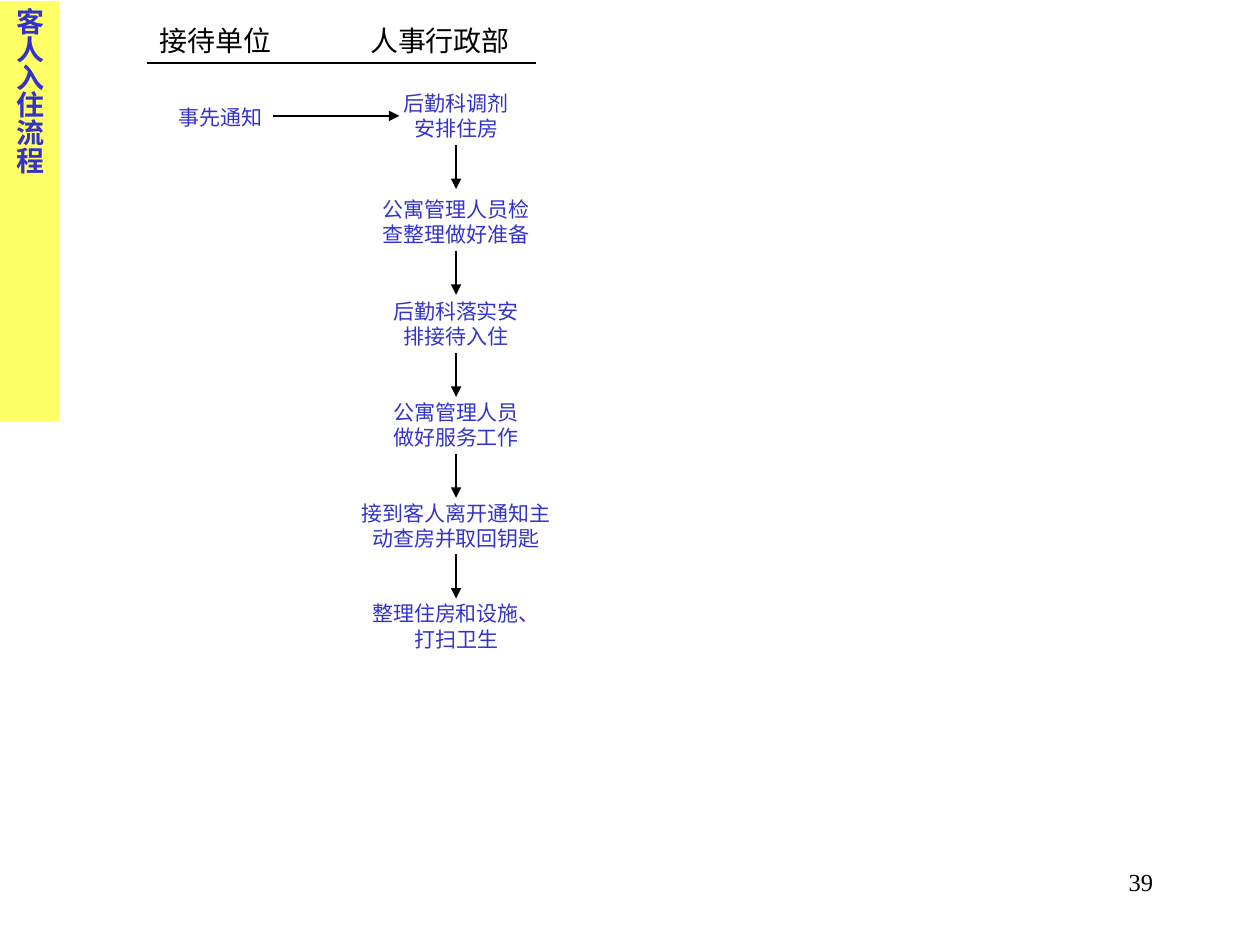
from dataclasses import dataclass

from lxml import etree
from pptx import Presentation
from pptx import util as u
from pptx.dml.color import RGBColor
from pptx.enum import shapes, text
from pptx.oxml import ns


@dataclass(frozen=True)
class Theme:
    font: str = "Times New Roman"
    ink: str = "000000"
    accent: str = "3333CC"
    band: str = "FFFF66"
    heading: int = 16
    step: int = 12
    number: int = 14
    line: float = 0.75


THEME = Theme()
ALIGN = text.PP_ALIGN
STEP_HEIGHT = 0.5
ARROW_LENGTH = 0.35
# wording, top and width of each step
STEPS = [
    ("后勤科调剂安排住房", 0.67, 1.17),
    ("公寓管理人员检查整理做好准备", 1.51, 1.5),
    ("后勤科落实安排接待入住", 2.32, 1.33),
    ("公寓管理人员做好服务工作", 3.12, 1.33),
    ("接到客人离开通知主动查房并取回钥匙", 3.92, 1.75),
    ("整理住房和设施、打扫卫生", 4.72, 1.54),
]


def write(frame, wording, size=THEME.step, color=THEME.accent, bold=False,
          align=ALIGN.CENTER, spacing=None, tab=None):
    frame.word_wrap = True
    frame.vertical_anchor = text.MSO_ANCHOR.TOP
    para = frame.paragraphs[0]
    para.alignment = align
    if spacing:
        para.line_spacing = spacing
    if tab:
        stops = etree.SubElement(para._p.get_or_add_pPr(), ns.qn("a:tabLst"))
        etree.SubElement(stops, ns.qn("a:tab"), pos=str(u.Inches(tab)), algn="l")
    span = para.add_run()
    span.text = wording
    span.font.name = THEME.font
    span.font.size = u.Pt(size)
    span.font.bold = bold
    span.font.color.rgb = RGBColor.from_string(color)


def add_text(page, left, top, width, height, wording, **style):
    box = page.shapes.add_textbox(*map(u.Inches, (left, top, width, height)))
    write(box.text_frame, wording, **style)


def add_line(page, start, end, arrow=False):
    line = page.shapes.add_connector(
        shapes.MSO_CONNECTOR.STRAIGHT, *map(u.Inches, (*start, *end)))
    line.line.color.rgb = RGBColor.from_string(THEME.ink)
    line.line.width = u.Pt(THEME.line)
    if arrow:
        etree.SubElement(line.line._get_or_add_ln(), ns.qn("a:tailEnd"), type="triangle")
    etree.SubElement(line._element.spPr, ns.qn("a:effectLst"))


def title_band(page, left, top, width, height):
    title = page.shapes.title
    title.left, title.top, title.width, title.height = map(
        u.Inches, (left, top, width, height))
    title.fill.solid()
    title.fill.fore_color.rgb = RGBColor.from_string(THEME.band)
    frame = title.text_frame
    frame.auto_size = text.MSO_AUTO_SIZE.NONE
    frame._txBody.bodyPr.set("vert", "eaVert")
    write(frame, "客人入住流程", size=THEME.heading, bold=True, align=ALIGN.JUSTIFY)


def column_headings(page, left, top, width):
    add_text(page, left, top, width, 0.31, "接待单位\t人事行政部",
             size=THEME.heading, color=THEME.ink, align=ALIGN.LEFT,
             spacing=0.8, tab=1.67)
    rule = top + 0.31
    add_line(page, (left, rule), (left + 3.08, rule))


def request(page, left, top, width, height):
    """Draw the first notice and its arrow to the first step."""
    add_text(page, left, top, width, height, "事先通知")
    middle = top + 0.14
    add_line(page, (left + 1.17, middle), (left + 2.17, middle), arrow=True)


def step_column(page, center):
    for index, (wording, top, width) in enumerate(STEPS):
        add_text(page, center - width / 2, top, width, STEP_HEIGHT, wording)
        if index < len(STEPS) - 1:
            start = top + STEP_HEIGHT - 0.02
            add_line(page, (center, start), (center, start + ARROW_LENGTH), arrow=True)


def main():
    deck = Presentation()
    deck.slide_width, deck.slide_height = u.Inches(10), u.Inches(7.5)
    page = deck.slides.add_slide(deck.slide_layouts.get_by_name("Title Only"))
    title_band(page, 0, 0.01, 0.47, 3.33)
    column_headings(page, 1.17, 0.19, 3.54)
    request(page, 1, 0.78, 1.5, 0.3)
    step_column(page, 3.62)
    add_text(page, 7.17, 6.83, 2.08, 0.5, "39", size=THEME.number,
             color=THEME.ink, align=ALIGN.RIGHT)
    deck.save("out.pptx")


if __name__ == "__main__":
    main()
